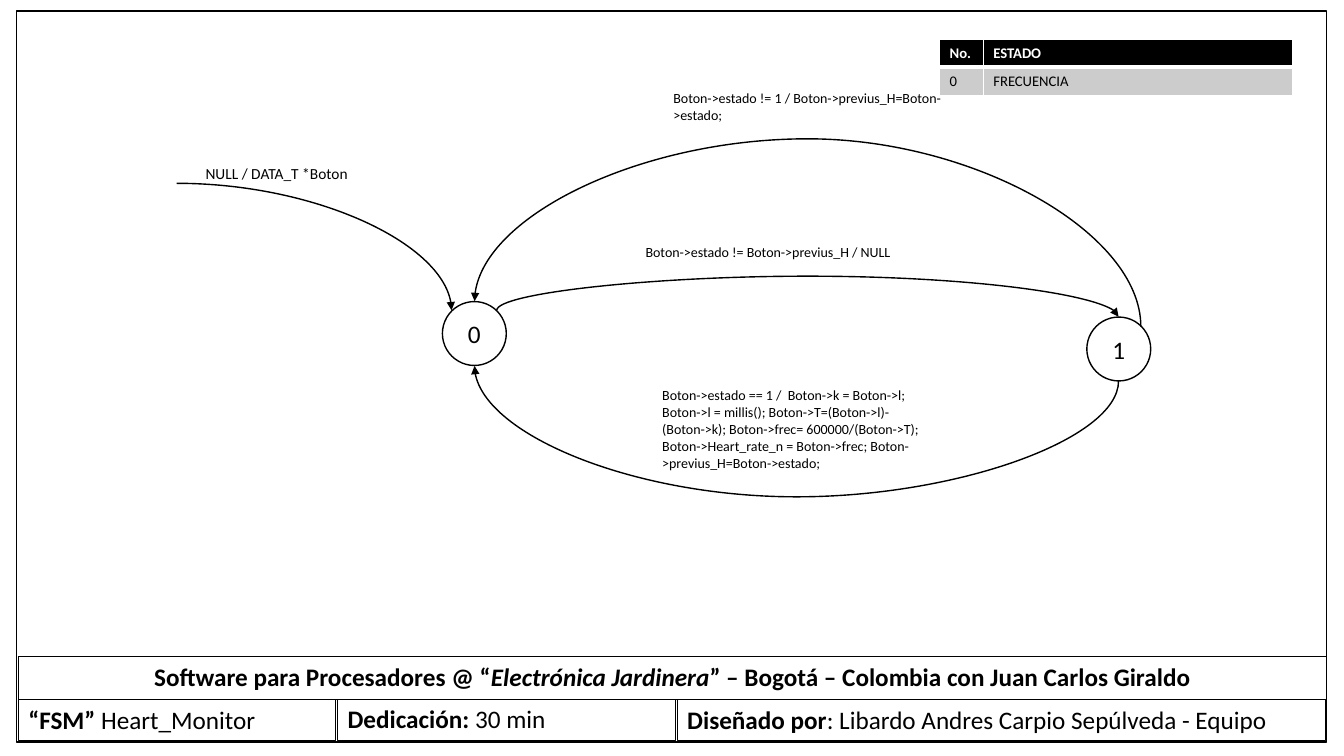
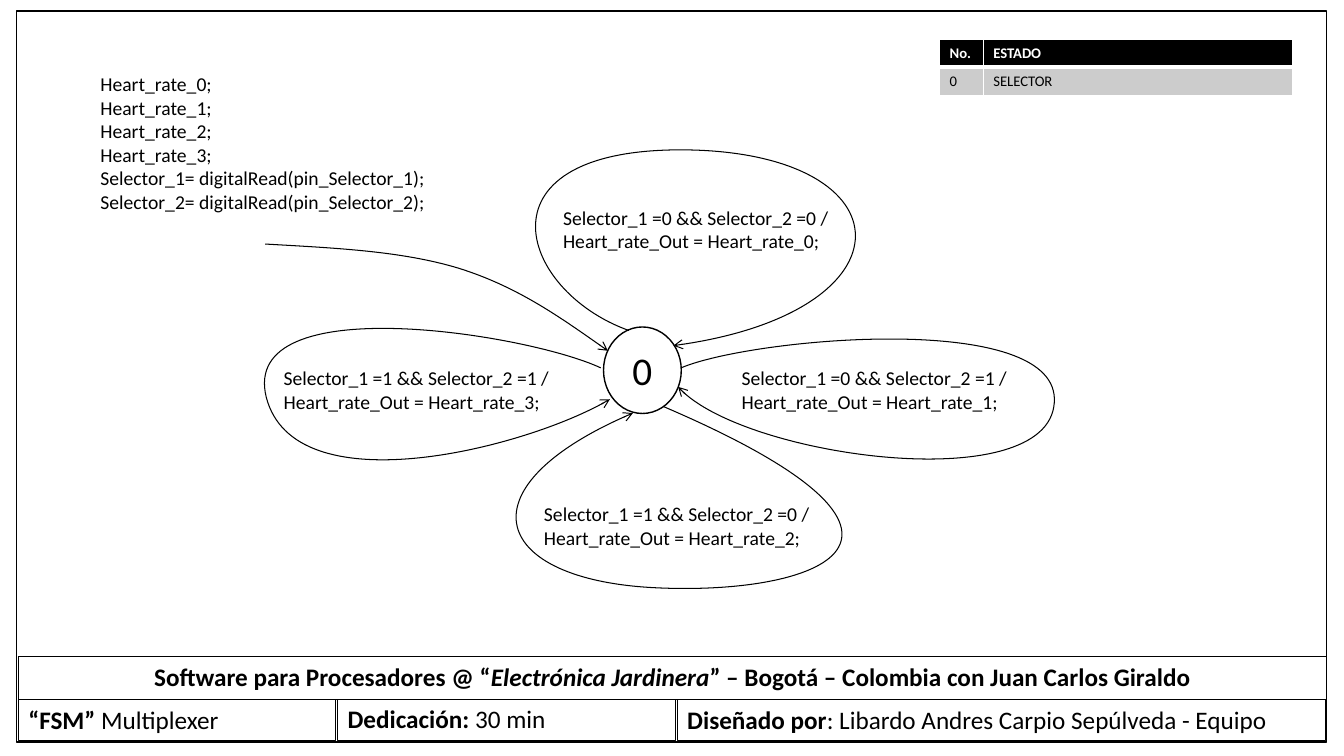
"""Build two state machine slides that share a frame, footer bands and a state table."""
import dataclasses

import lxml.etree
import pptx
import pptx.dml.color
import pptx.enum.shapes
import pptx.enum.text
import pptx.oxml.ns
import pptx.util

Cm = pptx.util.Cm
Pt = pptx.util.Pt
qn = pptx.oxml.ns.qn
Align = pptx.enum.text.PP_ALIGN
Anchor = pptx.enum.text.MSO_ANCHOR
Preset = pptx.enum.shapes.MSO_SHAPE


@dataclasses.dataclass(frozen=True)
class Theme:
    font: str = "Calibri"
    ink: str = "000000"
    paper: str = "FFFFFF"
    row: str = "CCCCCC"
    band_size: float = 18
    table_size: float = 10.5
    outline: float = 1
    loop_line: float = 0.75
    band_line: float = 0.25
    designer_line: float = 0.75
    cell_line: float = 1
    header_line: float = 3


THEME = Theme()
PAGE_SIZE = (33.87, 19.05)
FRAME = (0.41, 0.28, 33.02, 18.42)
TITLE_BAND = (0.46, 17.61, 8, 1.04)
BANDS = [
    ((8.51, 17.61, 8.51, 1.04), THEME.band_line, Align.LEFT,
     [("Dedicación: ", True, False), ("30 min", False, False)]),
    ((0.46, 16.54, 32.97, 1.09), THEME.band_line, Align.CENTER,
     [("Software para Procesadores @ “", True, False),
      ("Electrónica Jardinera", True, True),
      ("” – Bogotá – Colombia con Juan Carlos Giraldo", True, False)]),
    ((17.07, 17.63, 16.33, 1.02), THEME.designer_line, Align.LEFT,
     [("Diseñado por", True, False),
      (": Libardo Andres Carpio Sepúlveda - Equipo", False, False)]),
]
TABLE_PLACE = (23.68, 0.99)
TABLE_COLUMNS = (1.1, 7.8)
TABLE_ROW = 0.7
TABLE_HEADER = ("No.", "ESTADO")

MACHINES = [
    {
        "name": "Heart_Monitor ",
        "state": ("0", "FRECUENCIA "),
        "circles": [
            ("0", Preset.OVAL, (11.15, 7.6, 1.61, 1.61), 18),
            ("1", Preset.OVAL, (27.39, 7.99, 1.61, 1.61), 18),
        ],
        "entry": [((4.45, 4.62), (11.38, 7.82))],
        "arcs": [
            ((28.19, 9.6), (11.96, 9.22), 12.52),
            ((12.52, 7.82), (28.19, 7.98), 6.96),
            ((28.75, 8.23), (11.96, 7.59), 3.5),
        ],
        "loops": [],
        "labels": [
            ((4.93, 4.01, 7.82, 0.74), 11, ["NULL / DATA_T *Boton "]),
            ((16.02, 6.02, 10.13, 0.69), 10,
             ["Boton->estado != Boton->previus_H / NULL"]),
            ((16.44, 9.62, 7.26, 2.39), 10,
             ["Boton->estado == 1 /\u00a0 Boton->k = Boton->l; Boton->l = millis(); "
              "Boton->T=(Boton->l)-(Boton->k); Boton->frec= 600000/(Boton->T); "
              "Boton->Heart_rate_n = Boton->frec;\u00a0Boton->previus_H=Boton->estado; "]),
            ((16.72, 2.13, 7.26, 1.12), 10,
             ["Boton->estado != 1 /\u00a0Boton->previus_H=Boton->estado;"]),
        ],
    },
    {
        "name": "Multiplexer",
        "state": ("0", "SELECTOR "),
        "circles": [("0", Preset.FLOWCHART_CONNECTOR, (15.21, 8.24, 1.96, 2.18), 28)],
        "entry": [],
        "arcs": [],
        "loops": [
            [(6.68, 6.15), (8.41, 6.25), (10.11, 6.32), (11.56, 6.76),
             (13, 7.21), (14.17, 8.03), (15.32, 8.84)],
            [(15.85, 8.33), (13.03, 7.32), (11.89, 3.68), (17.37, 3.78),
             (22.89, 3.89), (23.09, 7.9), (16.97, 8.71)],
            [(17.17, 9.27), (18.95, 8.51), (26.77, 7.8), (26.57, 10.16),
             (26.39, 12.52), (18.64, 11.51), (17.09, 9.75)],
            [(16.71, 10.24), (24.59, 13.61), (20.57, 15.01), (16.51, 14.81),
             (12.42, 14.61), (11.56, 12.27), (15.95, 10.41)],
            [(15.14, 9.27), (13.31, 8.41), (6.02, 7.24), (6.71, 10.01),
             (7.42, 12.75), (13.39, 11.25), (15.37, 10.06)],
        ],
        "labels": [
            ((2.28, 1.69, 9.37, 4.45), 14,
             [f"Heart_rate_{number};" for number in range(4)]
             + ["Selector_1= digitalRead(pin_Selector_1); \u00a0",
                "Selector_2= digitalRead(pin_Selector_2);"]),
        ] + [
            (place, 14, [f"Selector_1 ={number // 2} && Selector_2 ={number % 2} /",
                         f"Heart_rate_Out = Heart_rate_{number};"])
            for number, place in enumerate([
                (13.94, 5.06, 7.75, 1.45), (18.44, 9.1, 7.62, 1.45),
                (13.46, 12.53, 7.62, 1.45), (6.9, 9.1, 8.1, 1.45)])
        ],
    },
]


def color(code):
    return pptx.dml.color.RGBColor.from_string(code)


def lengths(values):
    return [Cm(value) for value in values]


def add_node(parent, tag, **attributes):
    return lxml.etree.SubElement(parent, qn(tag), **attributes)


def style_font(font, size, code=THEME.ink):
    font.name = THEME.font
    font.size = Pt(size)
    font.color.rgb = color(code)


def style_line(shape, width, head=None):
    shape.line.color.rgb = color(THEME.ink)
    shape.line.width = Pt(width)
    if head:
        add_node(shape.line._get_or_add_ln(), "a:tailEnd", type=head)


def add_outline(page, preset, place, width):
    shape = page.shapes.add_shape(preset, *lengths(place))
    shape.shadow.inherit = False
    shape.fill.background()
    style_line(shape, width)
    return shape


def write_band(shape, spans, align):
    frame = shape.text_frame
    frame.word_wrap = True
    frame.vertical_anchor = Anchor.TOP
    para = frame.paragraphs[0]
    para.alignment = align
    style_font(para.font, THEME.band_size)
    for text, bold, italic in spans:
        span = para.add_run()
        span.text = text
        span.font.bold = bold
        span.font.italic = italic


def add_title(page, name):
    title = page.shapes.title
    title.left, title.top, title.width, title.height = lengths(TITLE_BAND)
    title.text_frame.auto_size = pptx.enum.text.MSO_AUTO_SIZE.NONE
    style_line(title, THEME.band_line)
    write_band(title, [("“FSM” ", True, False), (name, False, False)], Align.LEFT)


def add_borders(cell, top, bottom):
    properties = cell._tc.get_or_add_tcPr()
    widths = {"a:lnL": THEME.cell_line, "a:lnR": THEME.cell_line, "a:lnT": top, "a:lnB": bottom}
    for place, (tag, width) in enumerate(widths.items()):
        border = add_node(properties, tag, w=str(Pt(width)))
        add_node(add_node(border, "a:solidFill"), "a:srgbClr", val=THEME.paper)
        properties.insert(place, border)


def add_state_table(page, state):
    size = (sum(TABLE_COLUMNS), 2 * TABLE_ROW)
    table = page.shapes.add_table(2, 2, *lengths(TABLE_PLACE + size)).table
    table.horz_banding = False
    for column, width in zip(table.columns, TABLE_COLUMNS):
        column.width = Cm(width)
    thin, thick = THEME.cell_line, THEME.header_line
    looks = [(TABLE_HEADER, THEME.ink, THEME.paper, True, thin, thick),
             (state, THEME.row, THEME.ink, False, thick, thin)]
    for row, (texts, fill, ink, bold, top, bottom) in zip(table.rows, looks):
        for cell, text in zip(row.cells, texts):
            cell.text = text
            cell.fill.solid()
            cell.fill.fore_color.rgb = color(fill)
            add_borders(cell, top, bottom)
            font = cell.text_frame.paragraphs[0].font
            style_font(font, THEME.table_size, ink)
            font.bold = bold


def add_circle(page, text, preset, place, size):
    circle = add_outline(page, preset, place, THEME.outline)
    circle.fill.solid()
    circle.fill.fore_color.rgb = color(THEME.paper)
    circle.text_frame.vertical_anchor = Anchor.MIDDLE
    para = circle.text_frame.paragraphs[0]
    para.text = text
    para.alignment = Align.CENTER
    style_font(para.font, size)


def add_curve(page, start, end):
    kind = pptx.enum.shapes.MSO_CONNECTOR.CURVE
    curve = page.shapes.add_connector(kind, *lengths(start + end))
    style_line(curve, THEME.outline, "triangle")
    add_node(curve._element.spPr, "a:effectLst")
    return curve, curve._element.spPr.find(qn("a:prstGeom"))


def add_entry(page, start, end):
    add_curve(page, start, end)[1].set("prst", "curvedConnector2")


def add_arc(page, start, end, peak):
    curve, geometry = add_curve(page, start, end)
    across, down = end[0] - start[0], end[1] - start[1]
    width, height = abs(down), abs(across)
    curve.left = Cm((start[0] + end[0] - width) / 2)
    curve.top = Cm((start[1] + end[1] - height) / 2)
    curve.width, curve.height = lengths((width, height))
    upward = peak < start[1]
    turn = curve._element.spPr.find(qn("a:xfrm"))
    turn.set("rot", str((270 if upward else 90) * 60000))
    turn.set("flipH", str(int((down > 0) == upward)))
    turn.set("flipV", str(int((across < 0) == upward)))
    guides = geometry.find(qn("a:avLst"))
    if guides is None:
        guides = add_node(geometry, "a:avLst")
    ratio = round((peak - start[1]) / down * 100000)
    add_node(guides, "a:gd", name="adj1", fmla=f"val {ratio}")


def bezier(a, b, c, d, steps=50):
    for step in range(steps + 1):
        t = step / steps
        u = 1 - t
        yield u ** 3 * a + 3 * u * u * t * b + 3 * u * t * t * c + t ** 3 * d


def curve_span(values):
    reached = [*bezier(*values[:4]), *bezier(*values[3:])]
    return Cm(min(reached)), Cm(max(reached) - min(reached))


def add_loop(page, points):
    builder = page.shapes.build_freeform(*lengths(points[0]))
    builder.add_line_segments([lengths(point) for point in points[1:]], close=False)
    loop = builder.convert_to_shape()
    (left, width), (top, height) = [curve_span(axis) for axis in zip(*points)]
    outline = next(loop._element.iter(qn("a:path")))
    for point in outline.iter(qn("a:pt")):
        point.set("x", str(int(point.get("x")) + loop.left - left))
        point.set("y", str(int(point.get("y")) + loop.top - top))
    segments = outline.findall(qn("a:lnTo"))
    for first in range(0, len(segments), 3):
        cubic = add_node(outline, "a:cubicBezTo")
        for segment in segments[first:first + 3]:
            cubic.append(segment[0])
            outline.remove(segment)
    outline.set("w", str(width))
    outline.set("h", str(height))
    loop.left, loop.top, loop.width, loop.height = left, top, width, height
    loop.shadow.inherit = False
    loop.fill.background()
    style_line(loop, THEME.loop_line, "arrow")


def add_label(page, place, size, lines):
    frame = page.shapes.add_textbox(*lengths(place)).text_frame
    frame.word_wrap = True
    frame.text = "\n".join(lines)
    for para in frame.paragraphs:
        style_font(para.font, size)


deck = pptx.Presentation()
deck.slide_width, deck.slide_height = lengths(PAGE_SIZE)
for machine in MACHINES:
    page = deck.slides.add_slide(deck.slide_layouts[5])
    add_outline(page, Preset.RECTANGLE, FRAME, THEME.outline)
    add_title(page, machine["name"])
    for place, width, align, spans in BANDS:
        write_band(add_outline(page, Preset.RECTANGLE, place, width), spans, align)
    add_state_table(page, machine["state"])
    for part, draw in (("circles", add_circle), ("entry", add_entry), ("arcs", add_arc),
                       ("labels", add_label)):
        for item in machine[part]:
            draw(page, *item)
    for points in machine["loops"]:
        add_loop(page, points)
deck.save("out.pptx")
